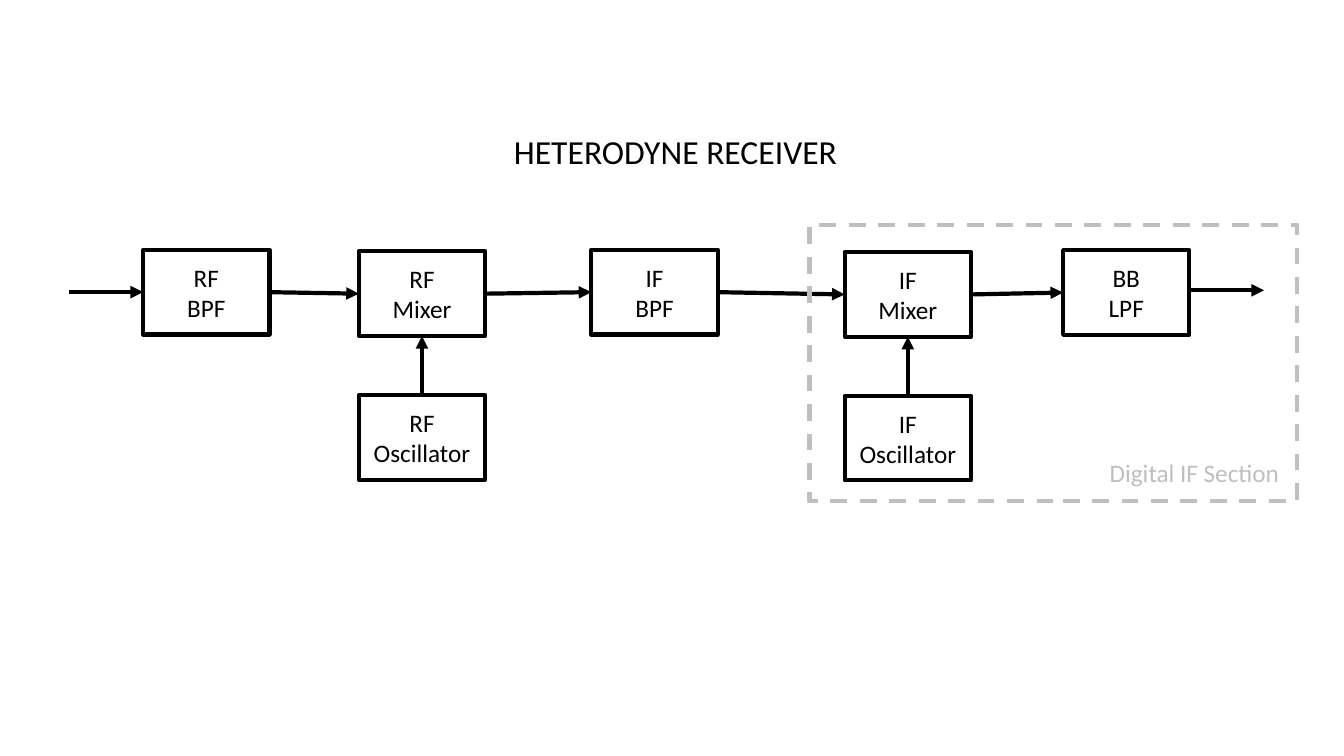
from dataclasses import dataclass

from lxml import etree
from pptx import Presentation
from pptx.dml.color import RGBColor
from pptx.enum.dml import MSO_LINE
from pptx.enum.shapes import MSO_CONNECTOR, MSO_SHAPE
from pptx.enum.text import MSO_ANCHOR, PP_ALIGN
from pptx.oxml.ns import qn
from pptx.shapes.autoshape import Shape
from pptx.shapes.connector import Connector
from pptx.util import Emu, Inches, Pt

BLACK = RGBColor(0x00, 0x00, 0x00)
GREY = RGBColor(0xBF, 0xBF, 0xBF)
FONT = "Calibri"
STROKE = Pt(3)
RECTANGLE = MSO_SHAPE.RECTANGLE
STRAIGHT = MSO_CONNECTOR.STRAIGHT
DASH = MSO_LINE.DASH
CENTER = PP_ALIGN.CENTER
LEFT = PP_ALIGN.LEFT
MIDDLE = MSO_ANCHOR.MIDDLE

# Connection sites of a rectangle
TOP_SITE, LEFT_SITE, BOTTOM_SITE, RIGHT_SITE = range(4)

SLIDE_WIDTH = Inches(13.333)
SLIDE_HEIGHT = Inches(7.5)


def across(percent: float) -> Emu:
    return Emu(round(SLIDE_WIDTH * percent / 100))


def down(percent: float) -> Emu:
    return Emu(round(SLIDE_HEIGHT * percent / 100))


# Shares of the slide's width and height, in percent
BLOCK_WIDTH, BLOCK_HEIGHT = 9.4, 11.2
INPUT_X = 5.1
OUTPUT_X, OUTPUT_Y = 94.05, 38.4


@dataclass(frozen=True)
class Block:
    name: str
    lines: tuple[str, ...]
    left: float
    top: float


@dataclass(frozen=True)
class Link:
    source: str
    source_site: int
    target: str
    target_site: int


@dataclass(frozen=True)
class Label:
    text: str
    left: float
    top: float
    width: float
    height: float
    size: int
    color: RGBColor
    wrap: bool


BLOCKS = (
    Block("rf_filter", ("RF", "BPF"), 10.65, 33.05),
    Block("rf_mixer", ("RF", "Mixer"), 26.7, 33.25),
    Block("if_filter", ("IF", "BPF"), 44, 33.05),
    Block("if_mixer", ("IF", "Mixer"), 62.85, 33.35),
    Block("baseband_filter", ("BB", "LPF"), 79.1, 33.1),
    Block("rf_oscillator", ("RF", "Oscillator"), 26.7, 52.25),
    Block("if_oscillator", ("IF", "Oscillator"), 62.85, 52.35),
)
SIGNAL_CHAIN = ("rf_filter", "rf_mixer", "if_filter", "if_mixer", "baseband_filter")
LINKS = [
    Link(source, RIGHT_SITE, target, LEFT_SITE)
    for source, target in zip(SIGNAL_CHAIN, SIGNAL_CHAIN[1:])
] + [
    Link(f"{band}_oscillator", TOP_SITE, f"{band}_mixer", BOTTOM_SITE)
    for band in ("rf", "if")
]
LABELS = (
    Label("HETERODYNE RECEIVER", 37.5, 16.67, 25.8, 6.67, 24, BLACK, False),
    Label("Digital IF Section", 81.83, 59.87, 14.25, 5.33, 18, GREY, True),
)

presentation = Presentation()
presentation.slide_width = SLIDE_WIDTH
presentation.slide_height = SLIDE_HEIGHT
slide = presentation.slides.add_slide(presentation.slide_layouts[6])


def write_lines(holder: Shape, lines: tuple[str, ...], size: int,
                color: RGBColor, alignment: PP_ALIGN) -> None:
    paragraph = holder.text_frame.paragraphs[0]
    paragraph.alignment = alignment
    for index, line in enumerate(lines):
        if index:
            paragraph.add_line_break()
        run = paragraph.add_run()
        run.text = line
        run.font.name = FONT
        run.font.size = Pt(size)
        run.font.color.rgb = color


def draw_outline(left: float, top: float, width: float, height: float,
                 color: RGBColor) -> Shape:
    outline = slide.shapes.add_shape(
        RECTANGLE, across(left), down(top), across(width), down(height))
    outline.shadow.inherit = False
    outline.fill.background()
    outline.line.color.rgb = color
    outline.line.width = STROKE
    return outline


def draw_block(block: Block) -> Shape:
    outline = draw_outline(block.left, block.top, BLOCK_WIDTH, BLOCK_HEIGHT, BLACK)
    frame = outline.text_frame
    frame.word_wrap = True
    frame.vertical_anchor = MIDDLE
    frame.margin_left = frame.margin_right = Inches(0.04)
    write_lines(outline, block.lines, 18, BLACK, CENTER)
    return outline


def draw_arrow(start_x: int, start_y: int, end_x: int, end_y: int) -> Connector:
    arrow = slide.shapes.add_connector(STRAIGHT, start_x, start_y, end_x, end_y)
    arrow.line.color.rgb = BLACK
    arrow.line.width = STROKE
    etree.SubElement(arrow.line._get_or_add_ln(), qn("a:tailEnd"), type="triangle")
    etree.SubElement(arrow._element.spPr, qn("a:effectLst"))
    return arrow


def draw_link(link: Link, outlines: dict[str, Shape]) -> None:
    arrow = draw_arrow(0, 0, 0, 0)
    arrow.begin_connect(outlines[link.source], link.source_site)
    arrow.end_connect(outlines[link.target], link.target_site)


def draw_label(label: Label) -> None:
    box = slide.shapes.add_textbox(across(label.left), down(label.top),
                                   across(label.width), down(label.height))
    box.text_frame.word_wrap = label.wrap
    write_lines(box, (label.text,), label.size, label.color, LEFT)


# Receiver stages and the signal between them
outlines = {block.name: draw_block(block) for block in BLOCKS}
for link in LINKS:
    draw_link(link, outlines)

# Input and output signals
first_stage = outlines[SIGNAL_CHAIN[0]]
last_stage = outlines[SIGNAL_CHAIN[-1]]
input_y = first_stage.top + first_stage.height // 2
draw_arrow(across(INPUT_X), input_y, first_stage.left, input_y)
draw_arrow(last_stage.left + last_stage.width, down(OUTPUT_Y),
           across(OUTPUT_X), down(OUTPUT_Y))

# Digital section frame
digital_section = draw_outline(60.23, 29.73, 36.3, 36.53, GREY)
digital_section.line.dash_style = DASH

# Title and section name
for label in LABELS:
    draw_label(label)

presentation.save("out.pptx")
